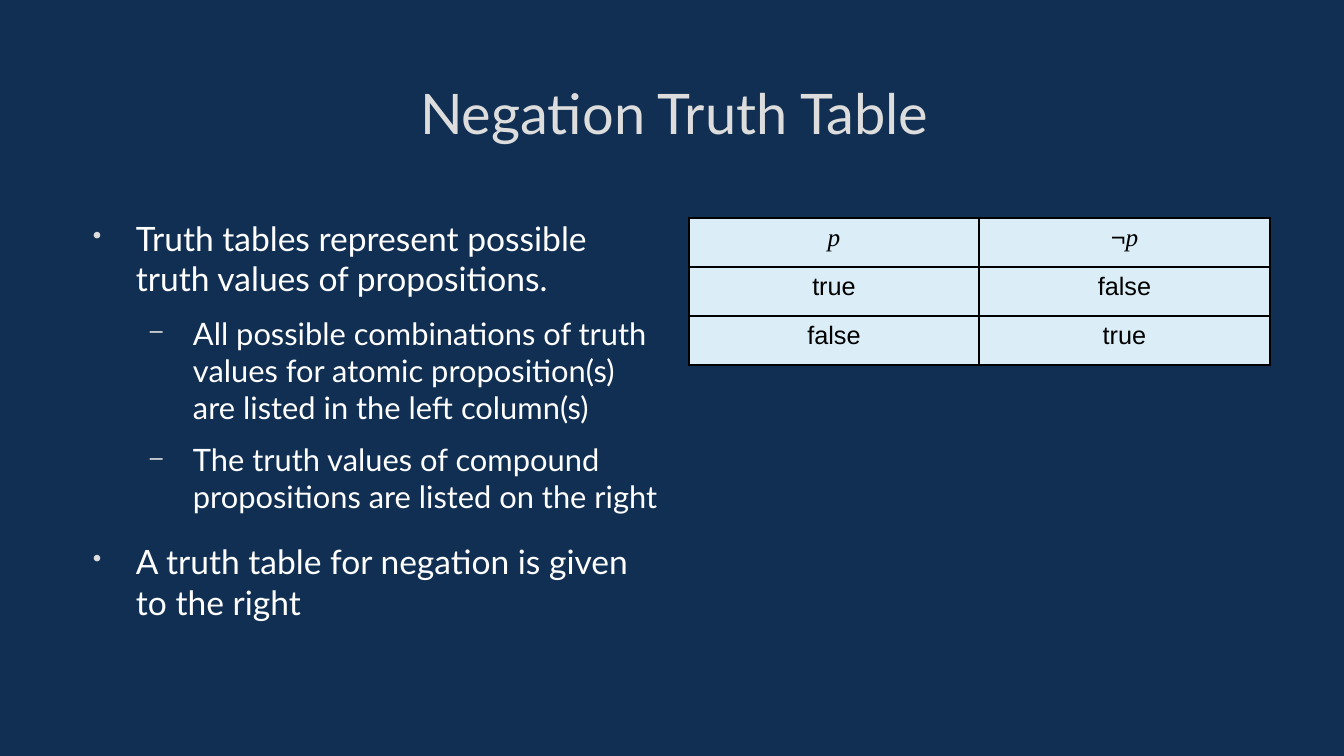
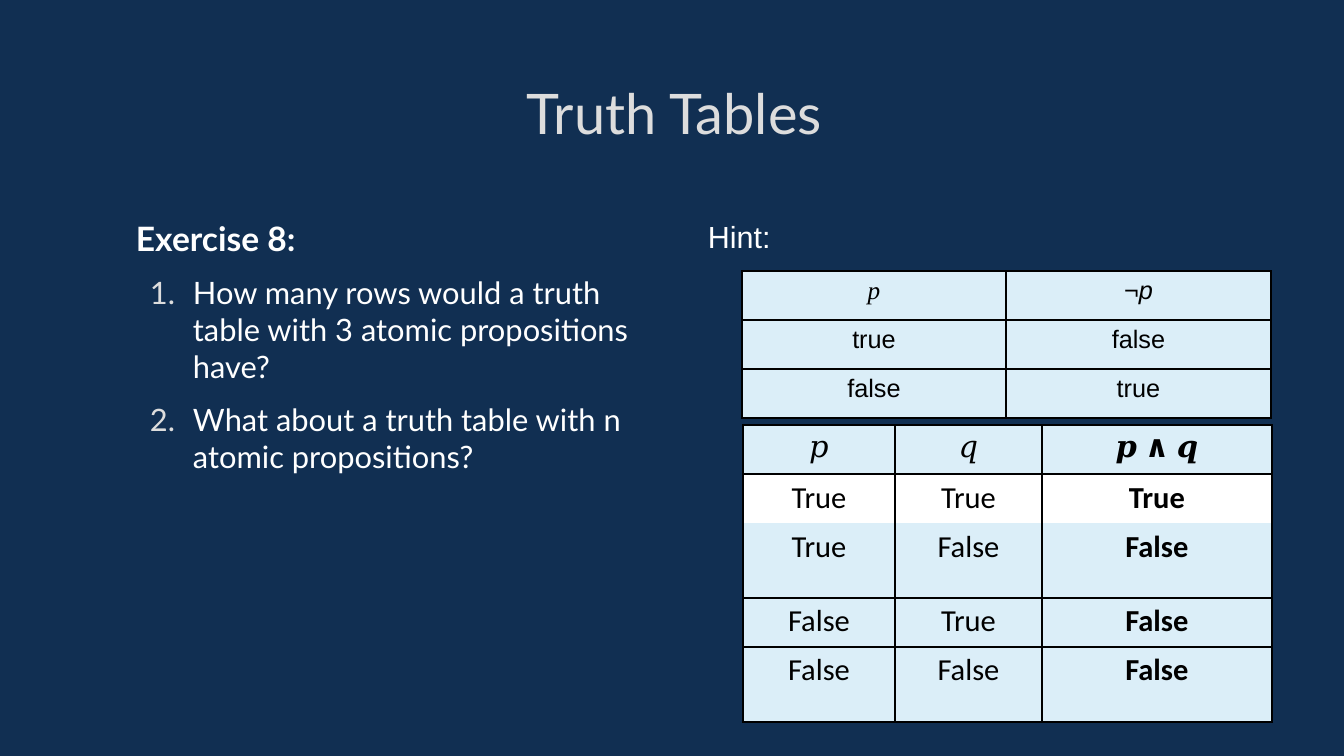
from typing import NamedTuple

from lxml.etree import SubElement
from pptx import Presentation
from pptx.dml.color import RGBColor
from pptx.enum.text import MSO_ANCHOR, PP_ALIGN
from pptx.oxml.ns import qn
from pptx.util import Pt

EMU_PER_PX = 914400 / 122
NAVY, GREY, WHITE, BLACK, PALE = "112F52", "DDDDDD", "FFFFFF", "000000", "DBEEF8"


def px(length):
    return round(length * EMU_PER_PX)


def color(hex_code):
    return RGBColor.from_string(hex_code)


class Span(NamedTuple):
    text: str
    font: str = "Arial"
    size: float = 14.9
    color: str = BLACK
    bold: bool = False
    italic: bool = False


class Item(NamedTuple):
    """A body paragraph: the marker is a character, "1." or empty."""
    text: str
    marker: str = "•"
    level: int = 0
    bold: bool = False


class Deck:
    BODY_SIZES = (19.8, 18.2)
    BODY_GAPS = (15.6, 9.3)
    INDENT, HANG = 57, 43
    ROW = 49

    def __init__(self):
        self.deck = Presentation()
        self.deck.slide_width, self.deck.slide_height = px(1344), px(756)
        self.page = None

    def new_page(self, title):
        self.page = self.deck.slides.add_slide(self.deck.slide_layouts[6])
        background = self.page.background.fill
        background.solid()
        background.fore_color.rgb = color(NAVY)
        frame = self.box(79, 46, 1191, 133)
        frame.vertical_anchor = MSO_ANCHOR.MIDDLE
        para = frame.paragraphs[0]
        para.alignment = PP_ALIGN.CENTER
        self.add_spans(para, Span(title, "Lato", 33, GREY))

    def box(self, left, top, width, height, wrap=True):
        frame = self.page.shapes.add_textbox(
            px(left), px(top), px(width), px(height)).text_frame
        frame.word_wrap = wrap
        frame.margin_left = frame.margin_right = 0
        frame.margin_top = frame.margin_bottom = 0
        return frame

    def add_spans(self, para, *spans):
        for span in spans:
            run = para.add_run()
            run.text = span.text
            font = run.font
            font.name, font.size = span.font, Pt(span.size)
            font.bold, font.italic = span.bold, span.italic
            font.color.rgb = color(span.color)

    def body(self, items):
        frame = self.box(79, 218, 581, 437)
        for index, item in enumerate(items):
            para = frame.add_paragraph() if index else frame.paragraphs[0]
            para.level = item.level
            if index:
                para.space_before = Pt(self.BODY_GAPS[item.level])
            self.mark(para, item)
            self.add_spans(para, Span(item.text, "Lato", self.BODY_SIZES[item.level],
                                      WHITE, item.bold))

    def mark(self, para, item):
        props = para._p.get_or_add_pPr()
        props.set("marL", str(px(self.INDENT * (item.level + 1))))
        props.set("indent", str(-px(self.HANG) if item.marker else 0))
        if not item.marker:
            SubElement(props, qn("a:buNone"))
            return
        tint = SubElement(props, qn("a:buClr"))
        SubElement(tint, qn("a:srgbClr"), val=GREY)
        if item.marker == "1.":
            SubElement(props, qn("a:buFont"), typeface="Lato")
            SubElement(props, qn("a:buAutoNum"), type="arabicPeriod")
        else:
            SubElement(props, qn("a:buSzPct"), val="75000")
            SubElement(props, qn("a:buChar"), char=item.marker)

    def label(self, left, top, width, height, text):
        frame = self.box(left, top, width, height, wrap=False)
        self.add_spans(frame.paragraphs[0], Span(text, "Arial", 18, WHITE))

    def table(self, left, top, columns, rows, cells, white_row=None, margins=(6, 6)):
        """Fill a bordered grid; the white row has no line below it."""
        table = self.page.shapes.add_table(
            len(rows), len(columns), px(left), px(top),
            px(sum(columns)), px(sum(rows))).table
        for column, width in zip(table.columns, columns):
            column.width = px(width)
        for row, height in zip(table.rows, rows):
            row.height = px(height)
        for r, line in enumerate(cells):
            open_edge = None
            if white_row is not None:
                open_edge = {white_row: "B", white_row + 1: "T"}.get(r)
            for c, spans in enumerate(line):
                cell = table.cell(r, c)
                cell.margin_top, cell.margin_bottom = map(px, margins)
                self.borders(cell, open_edge)
                cell.fill.solid()
                cell.fill.fore_color.rgb = color(WHITE if r == white_row else PALE)
                para = cell.text_frame.paragraphs[0]
                para.alignment = PP_ALIGN.CENTER
                self.add_spans(para, *spans)

    def borders(self, cell, open_edge):
        props = cell._tc.get_or_add_tcPr()
        for side in "LRTB":
            edge = SubElement(props, qn(f"a:ln{side}"), w=str(Pt(0.96)))
            if side == open_edge:
                SubElement(edge, qn("a:noFill"))
            else:
                fill = SubElement(edge, qn("a:solidFill"))
                SubElement(fill, qn("a:srgbClr"), val=BLACK)

    def negation_table(self, left, top, columns, negated_font):
        head = [[Span("p", "Times New Roman", italic=True)],
                [Span("¬"), Span("p", negated_font, italic=True)]]
        values = [("true", "false"), ("false", "true")]
        cells = [head] + [[[Span(value)] for value in line] for line in values]
        self.table(left, top, columns, [self.ROW] * 3, cells)

    def conjunction_table(self, left, top):
        head = [[Span(text, "Times New Roman", 18) for text in texts]
                for texts in (["𝑝"], ["𝑞"], ["𝒑", " ∧ ", "𝒒"])]
        cells = [head]
        for p in (True, False):
            for q in (True, False):
                cells.append([[Span(str(value), "Calibri", 18, bold=c == 2)]
                              for c, value in enumerate((p, q, p and q))])
        rows = [self.ROW, self.ROW, 75, self.ROW, 75]
        self.table(left, top, [152, 147, 230], rows, cells,
                   white_row=1, margins=(5, 0))


def main():
    deck = Deck()

    # Negation
    deck.new_page("Negation Truth Table")
    deck.body([
        Item("Truth tables represent possible truth values of propositions."),
        Item("All possible combinations of truth values for atomic proposition(s) "
             "are listed in the left column(s)", "–", 1),
        Item("The truth values of compound propositions are listed on the right", "–", 1),
        Item("A truth table for negation is given to the right"),
    ])
    deck.negation_table(689, 218, [290, 291], "Times New Roman")

    # Exercise with hint tables
    deck.new_page("Truth Tables")
    deck.body([
        Item("Exercise 8:", "", bold=True),
        Item("How many rows would a truth table with 3 atomic propositions have?", "1.", 1),
        Item("What about a truth table with n atomic propositions?", "1.", 1),
    ])
    deck.conjunction_table(743, 425)
    deck.negation_table(742, 271, [264, 265], "Arial")
    deck.label(708, 218, 63, 34, "Hint:")

    deck.deck.save("out.pptx")


if __name__ == "__main__":
    main()
